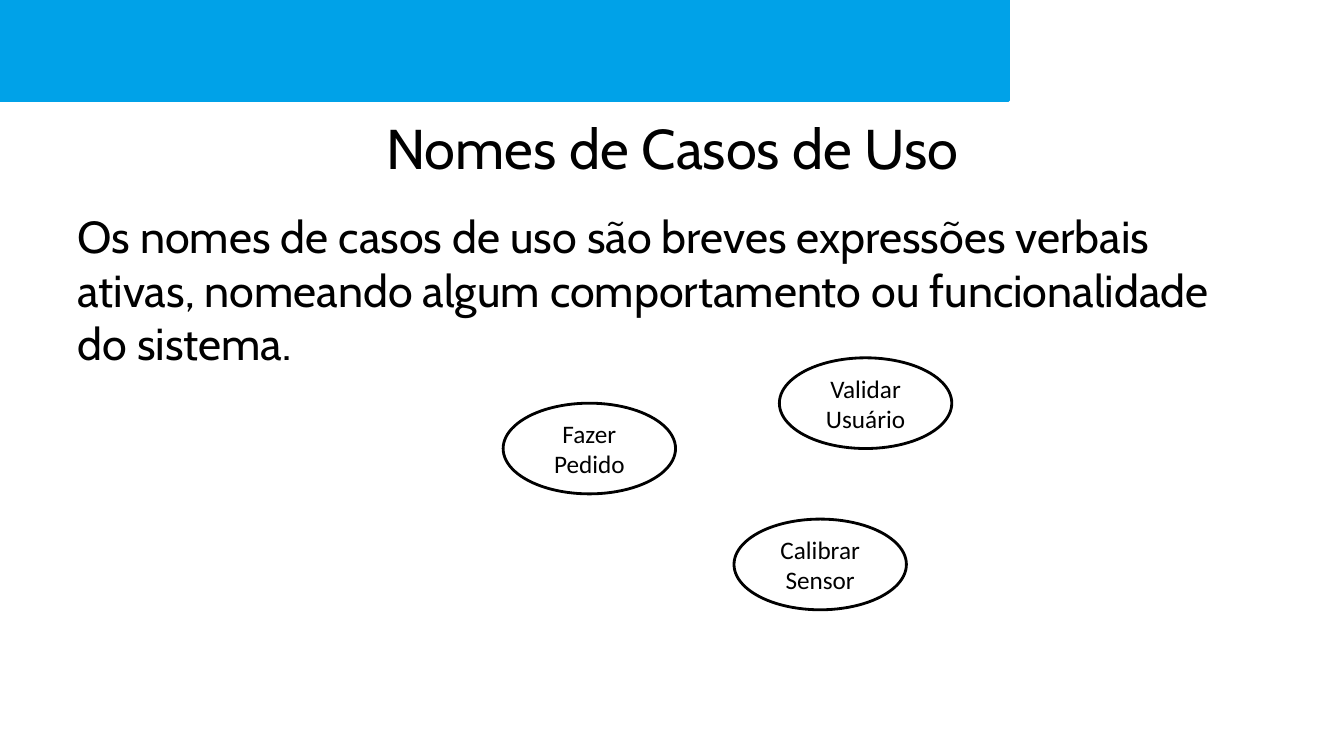
from pptx import Presentation
from pptx import util as u
from pptx.dml.color import RGBColor
from pptx.enum import shapes, text

BLUE = RGBColor(0x00, 0xA2, 0xE8)
BLACK = RGBColor(0x00, 0x00, 0x00)
WHITE = RGBColor(0xFF, 0xFF, 0xFF)

deck = Presentation()
deck.slide_width, deck.slide_height = u.Inches(13.33), u.Inches(7.5)
slide = deck.slides.add_slide(deck.slide_layouts[6])


def paint(shape, fill, line):
    shape.shadow.inherit = False
    shape.fill.solid()
    shape.fill.fore_color.rgb = fill
    shape.line.color.rgb = line
    shape.line.width = u.Pt(2)


def write(shape, words, font, size, align):
    shape.text_frame.word_wrap = True
    para = shape.text_frame.paragraphs[0]
    para.text = words
    para.alignment = align
    para.font.name, para.font.size = font, u.Pt(size)
    para.font.color.rgb = BLACK
    return para


# Top band, its right edge a cubic curve
ends = [(10.24, 0), (10.13, 0.3), (10.45, 0.81), (9.84, 0.87)]
steps = 32
curve = []
for i in range(1, steps + 1):
    t = i / steps
    parts = ((1 - t) ** 3, 3 * t * (1 - t) ** 2, 3 * t * t * (1 - t), t ** 3)
    curve.append(tuple(sum(w * p[k] for w, p in zip(parts, ends)) for k in (0, 1)))
pen = slide.shapes.build_freeform(0, 0, scale=u.Inches(1))
pen.add_line_segments([ends[0], *curve, (0, 0.89)], close=True)
paint(pen.convert_to_shape(), BLUE, BLUE)

# Title and body share one column
left, width = u.Inches(0.67), u.Inches(12)
title = slide.shapes.add_textbox(left, u.Inches(1.03), width, u.Inches(0.86))
title.text_frame.vertical_anchor = text.MSO_ANCHOR.MIDDLE
write(title, "Nomes de Casos de Uso", "Cabin", 40, text.PP_ALIGN.CENTER)

body = slide.shapes.add_textbox(left, u.Inches(2.02), width, u.Inches(4.8))
write(body, "Os nomes de casos de uso são breves expressões verbais ativas, "
      "nomeando algum comportamento ou funcionalidade do sistema.",
      "Cabin", 32, text.PP_ALIGN.LEFT)

# Use cases
cases = [("Fazer Pedido", 4.99, 4), ("Validar Usuário", 7.73, 3.55),
         ("Calibrar Sensor", 7.28, 5.15)]
for name, x, y in cases:
    oval = slide.shapes.add_shape(shapes.MSO_SHAPE.OVAL, u.Inches(x), u.Inches(y),
                                  u.Inches(1.71), u.Inches(0.9))
    paint(oval, WHITE, BLACK)
    frame = oval.text_frame
    frame.margin_left = frame.margin_right = u.Inches(0.07)
    frame.margin_top = frame.margin_bottom = u.Inches(0.04)
    frame.vertical_anchor = text.MSO_ANCHOR.MIDDLE
    write(oval, name, "Calibri", 18, text.PP_ALIGN.CENTER)

deck.save("out.pptx")
